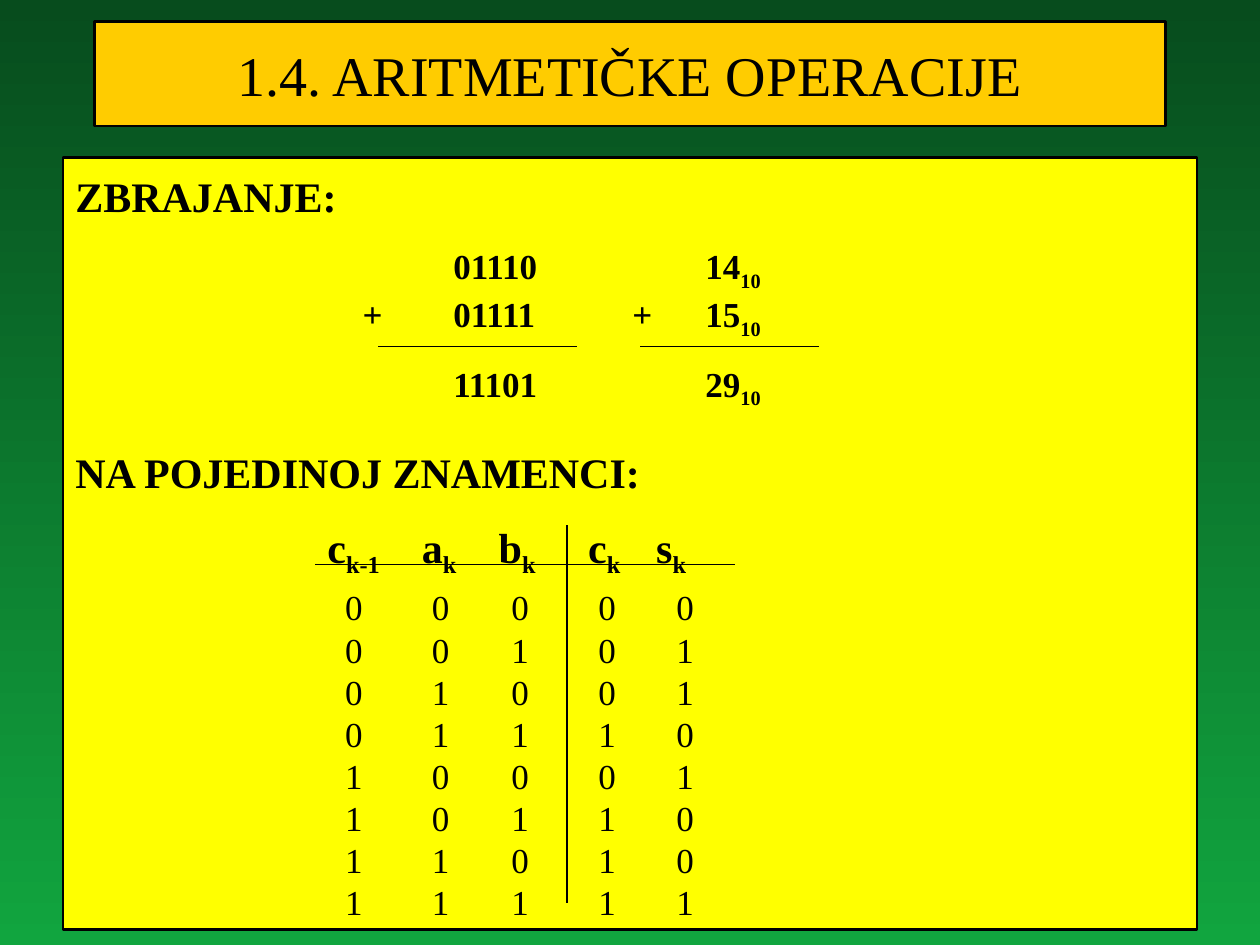
from itertools import product

from lxml.etree import SubElement
from pptx import Presentation
from pptx.dml.color import RGBColor
from pptx.enum.shapes import MSO_CONNECTOR, MSO_SHAPE
from pptx.enum.text import MSO_ANCHOR, MSO_AUTO_SIZE, PP_ALIGN
from pptx.oxml.ns import qn
from pptx.util import Inches, Pt


def rgb(value):
    return RGBColor.from_string(value)


class Deck:
    font = "Times New Roman"
    ink = "000000"

    def __init__(self):
        self.prs = Presentation()
        self.prs.slide_width = Inches(10)
        self.prs.slide_height = Inches(7.5)
        self.s = None

    def slide(self, top, bottom):
        self.s = self.prs.slides.add_slide(self.prs.slide_layouts[5])
        fill = self.s.background.fill
        fill.gradient()
        fill.gradient_angle = 270
        for stop, color in zip(fill.gradient_stops, (top, bottom)):
            stop.color.rgb = rgb(color)

    def panel(self, sp, color, anchor):
        sp.fill.solid()
        sp.fill.fore_color.rgb = rgb(color)
        sp.line.color.rgb = rgb(self.ink)
        sp.line.width = Pt(1.5)
        tf = sp.text_frame
        tf.word_wrap = True
        tf.auto_size = MSO_AUTO_SIZE.NONE
        tf.vertical_anchor = anchor
        return tf

    def style(self, r, size, bold):
        r.font.name = self.font
        r.font.size = Pt(size)
        r.font.bold = bold
        r.font.color.rgb = rgb(self.ink)

    def title(self, text, box, color):
        sp = self.s.shapes.title
        sp.left, sp.top, sp.width, sp.height = [Inches(v) for v in box]
        tf = self.panel(sp, color, MSO_ANCHOR.MIDDLE)
        tf.text = text
        p = tf.paragraphs[0]
        p.alignment = PP_ALIGN.CENTER
        self.style(p.runs[0], 32, False)

    def body(self, lines, box, color):
        sp = self.s.shapes.add_shape(MSO_SHAPE.RECTANGLE, *[Inches(v) for v in box])
        sp.shadow.inherit = False
        tf = self.panel(sp, color, MSO_ANCHOR.TOP)
        for i, line in enumerate(lines):
            p = tf.add_paragraph() if i else tf.paragraphs[0]
            self.paragraph(p, *line)

    def paragraph(self, p, text, size, bold, before, height, tabs=()):
        if tabs:
            tab_list = SubElement(p._p.get_or_add_pPr(), qn("a:tabLst"))
            for pos in tabs:
                SubElement(tab_list, qn("a:tab"), pos=str(Inches(pos)), algn="l")
        p.alignment = PP_ALIGN.LEFT
        p.space_before = Pt(before)
        p.line_spacing = Pt(height)
        for i, part in enumerate(text.split("_")):
            if part:
                r = p.add_run()
                r.text = part
                self.style(r, size, bold)
                if i % 2:
                    r._r.get_or_add_rPr().set("baseline", "-25000")

    def line(self, x1, y1, x2, y2):
        c = self.s.shapes.add_connector(
            MSO_CONNECTOR.STRAIGHT, Inches(x1), Inches(y1), Inches(x2), Inches(y2))
        c.line.color.rgb = rgb(self.ink)
        c.line.width = Pt(0.75)
        SubElement(c._element.spPr, qn("a:effectLst"))


def adder_rows():
    for bits in product((0, 1), repeat=3):
        carry, total = divmod(sum(bits), 2)
        yield "".join(f"\t{v}" for v in (*bits, carry, total))


def main():
    sum_tabs = (2.28, 3, 4.42, 5)
    head_tabs = (2, 2.75, 3.36, 4.07, 4.61)
    digit_tabs = (2.14, 2.83, 3.46, 4.15, 4.77)
    lines = [
        ("ZBRAJANJE:", 24, True, 0, 32.5),
        ("\t\t01110\t\t14_10_", 20, True, 13.5, 27.4, sum_tabs),
        ("\t+\t01111\t+\t15_10_", 20, True, 0, 27.4, sum_tabs),
        ("\t\t11101\t\t29_10_", 20, True, 12.5, 27.4, sum_tabs),
        ("NA POJEDINOJ ZNAMENCI:", 24, True, 17.5, 32),
        ("\tc_k-1_\ta_k_\tb_k_\tc_k_\ts_k_", 24, True, 12.5, 34.5, head_tabs),
    ]
    for i, row in enumerate(adder_rows()):
        lines.append((row, 20, False, 0 if i else 4, 24.06, digit_tabs))

    deck = Deck()
    deck.slide("074C1D", "11A53F")
    deck.title("1.4. ARITMETIČKE OPERACIJE", (0.75, 0.17, 8.5, 0.83), "FFCC00")
    deck.body(lines, (0.5, 1.25, 9, 6.13), "FFFF00")
    deck.line(3, 2.75, 4.58, 2.75)
    deck.line(5.08, 2.75, 6.5, 2.75)
    deck.line(2.5, 4.48, 5.83, 4.48)
    deck.line(4.5, 4.17, 4.5, 7.17)
    deck.prs.save("out.pptx")


if __name__ == "__main__":
    main()
